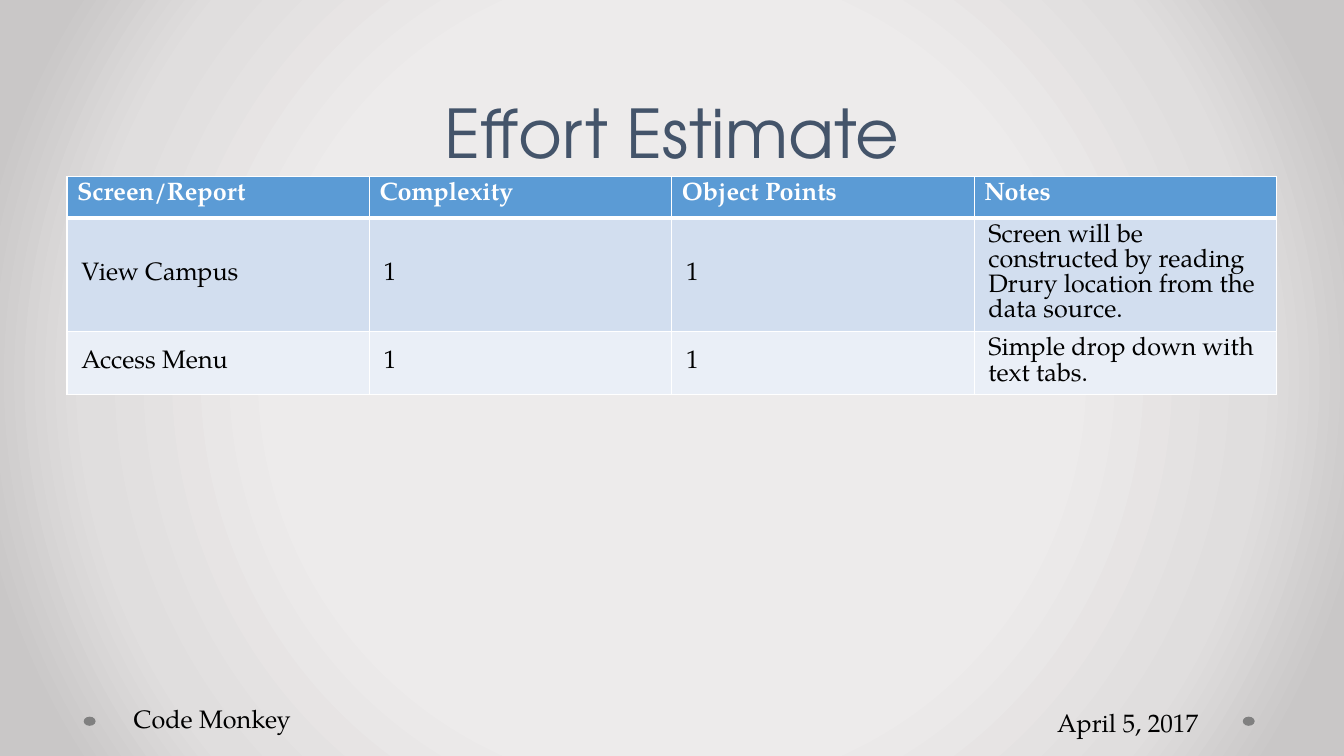
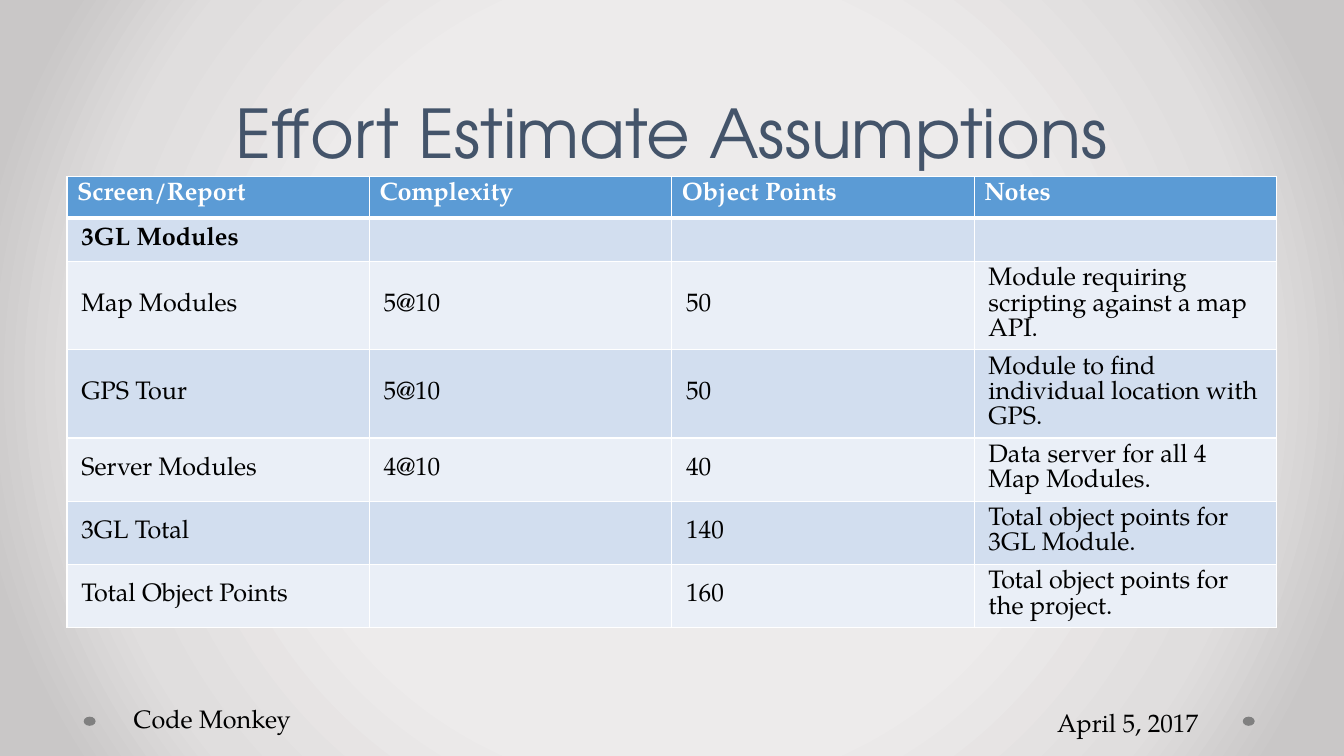
from dataclasses import dataclass

from lxml.etree import SubElement
from pptx import Presentation
from pptx.dml.color import RGBColor
from pptx.enum.shapes import MSO_SHAPE
from pptx.enum.text import MSO_ANCHOR, MSO_AUTO_SIZE, PP_ALIGN
from pptx.oxml.ns import qn
from pptx.util import Cm, Pt

# Content
HEADER = ("Screen/Report", "Complexity", "Object Points", "Notes")
SLIDES = [
    ("Effort Estimate", [
        ("View Campus", "1", "1",
         "Screen will be constructed by reading Drury location from the data source."),
        ("Access Menu", "1", "1", "Simple drop down with text tabs."),
    ]),
    ("Effort Estimate Assumptions", [
        ("3GL Modules", "", "", ""),
        ("Map Modules", "5@10", "50", "Module requiring scripting against a map API."),
        ("GPS Tour", "5@10", "50", "Module to find individual location with GPS."),
        ("Server Modules", "4@10", "40", "Data server for all 4 Map Modules."),
        ("3GL Total", "", "140", "Total object points for 3GL Module."),
        ("Total Object Points", "", "160", "Total object points for the project."),
    ]),
]
# Footer texts: text, left, top, width in cm
FOOTERS = [("Code Monkey", 3.12, 17.6, 4.52), ("April 5, 2017", 26.39, 17.7, 4.11)]
DOT_LEFTS = (2.11, 31.32)


@dataclass(frozen=True)
class Theme:
    title_font: str = "TeX Gyre Adventor"
    body_font: str = "TeX Gyre Pagella"
    title_size: int = 48
    body_size: int = 18
    title: str = "44546A"
    text: str = "000000"
    white: str = "FFFFFF"
    header: str = "5B9BD5"
    bands: tuple = ("D2DEEF", "EAEFF7")
    dot: str = "808080"
    backdrop: tuple = ((50, "EDEBEB"), (76, "E0DEDE"), (92, "C9C7C7"))
    thin: int = 1
    thick: int = 3


THEME = Theme()
MARGIN = 1.69
CONTENT_WIDTH = 30.48
TITLE_HEIGHT = 4.45
ROW_HEIGHT = 1.04


def add_run(paragraph, text, font, size, color, bold=False):
    run = paragraph.add_run()
    run.text = text
    run.font.name = font
    run.font.size = Pt(size)
    run.font.bold = bold
    run.font.color.rgb = RGBColor.from_string(color)


def paint_background(master):
    """Radial gradient, shared by every slide."""
    master.background.fill.solid()
    properties = master.element.find(".//" + qn("p:bgPr"))
    properties.remove(properties.find(qn("a:solidFill")))
    gradient = properties.makeelement(qn("a:gradFill"), {"rotWithShape": "1"})
    properties.insert(0, gradient)
    stops = SubElement(gradient, qn("a:gsLst"))
    for position, color in THEME.backdrop:
        stop = SubElement(stops, qn("a:gs"), pos=str(position * 1000))
        SubElement(stop, qn("a:srgbClr"), val=color)
    circle = SubElement(gradient, qn("a:path"), {"path": "circle"})
    SubElement(circle, qn("a:fillToRect"), {side: "50000" for side in "ltrb"})


def set_title(slide, text):
    title = slide.shapes.title
    title.left, title.top = Cm(MARGIN), Cm(0)
    title.width, title.height = Cm(CONTENT_WIDTH), Cm(TITLE_HEIGHT)
    frame = title.text_frame
    frame.auto_size = MSO_AUTO_SIZE.NONE
    frame.word_wrap = True
    frame.vertical_anchor = MSO_ANCHOR.BOTTOM
    paragraph = frame.paragraphs[0]
    paragraph.alignment = PP_ALIGN.CENTER
    paragraph.line_spacing = Pt(THEME.title_size)
    add_run(paragraph, text, THEME.title_font, THEME.title_size, THEME.title)


def add_footer(slide):
    for left in DOT_LEFTS:
        dot = slide.shapes.add_shape(
            MSO_SHAPE.OVAL, Cm(left), Cm(18.06), Cm(0.3), Cm(0.23))
        dot.shadow.inherit = False
        dot.fill.solid()
        dot.fill.fore_color.rgb = RGBColor.from_string(THEME.dot)
        dot.line.fill.background()
    for text, left, top, width in FOOTERS:
        box = slide.shapes.add_textbox(Cm(left), Cm(top), Cm(width), Cm(1.02))
        box.text_frame.word_wrap = False
        box.text_frame.auto_size = MSO_AUTO_SIZE.SHAPE_TO_FIT_TEXT
        add_run(box.text_frame.paragraphs[0], text,
                THEME.body_font, THEME.body_size, THEME.text)


def set_borders(cell, top, bottom):
    properties = cell._tc.get_or_add_tcPr()
    widths = {"a:lnL": THEME.thin, "a:lnR": THEME.thin, "a:lnT": top, "a:lnB": bottom}
    for tag, width in widths.items():
        line = SubElement(properties, qn(tag), w=str(Pt(width)))
        fill = SubElement(line, qn("a:solidFill"))
        SubElement(fill, qn("a:srgbClr"), val=THEME.white)


def format_cell(cell, text, row, bold):
    is_header = row == 0
    set_borders(cell, top=THEME.thick if row == 1 else THEME.thin,
                bottom=THEME.thick if is_header else THEME.thin)
    cell.fill.solid()
    fill = THEME.header if is_header else THEME.bands[(row - 1) % 2]
    cell.fill.fore_color.rgb = RGBColor.from_string(fill)
    if not is_header:
        cell.vertical_anchor = MSO_ANCHOR.MIDDLE
        cell.margin_left = cell.margin_right = Cm(0.36)
        cell.margin_top = cell.margin_bottom = Cm(0.16)
    if text:
        paragraph = cell.text_frame.paragraphs[0]
        paragraph.line_spacing = Pt(THEME.body_size)
        add_run(paragraph, text, THEME.body_font, THEME.body_size,
                THEME.white if is_header else THEME.text, bold)


def add_estimate_table(slide, body):
    rows = [HEADER, *body]
    table = slide.shapes.add_table(
        len(rows), len(HEADER), Cm(MARGIN), Cm(TITLE_HEIGHT),
        Cm(CONTENT_WIDTH), Cm(ROW_HEIGHT * len(rows))).table
    for row, values in enumerate(rows):
        # Headings of the table and of its sections are bold
        bold = row == 0 or not any(values[1:])
        for column, text in enumerate(values):
            format_cell(table.cell(row, column), text, row, bold)


# Build
presentation = Presentation()
presentation.slide_width, presentation.slide_height = Cm(33.87), Cm(19.05)
paint_background(presentation.slide_master)
for heading, body in SLIDES:
    slide = presentation.slides.add_slide(presentation.slide_layouts[5])
    set_title(slide, heading)
    add_estimate_table(slide, body)
    add_footer(slide)
presentation.save("out.pptx")
